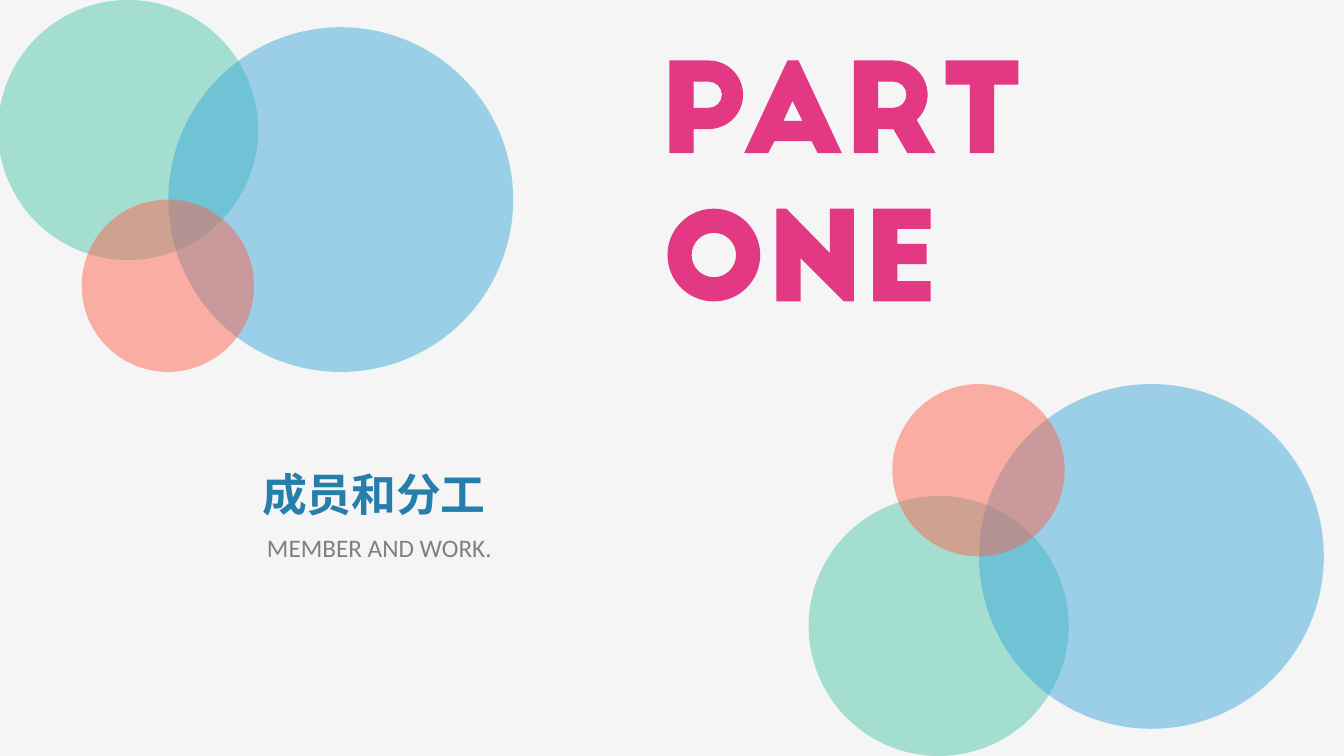
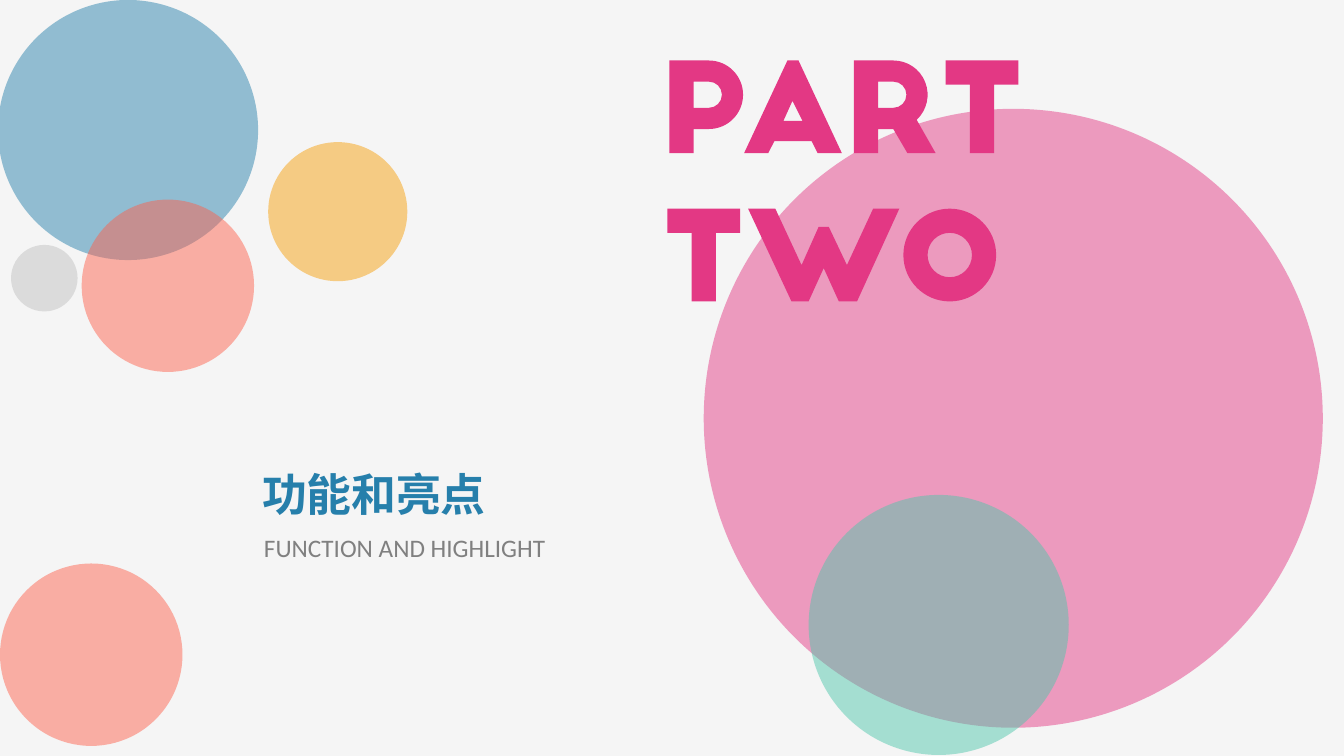
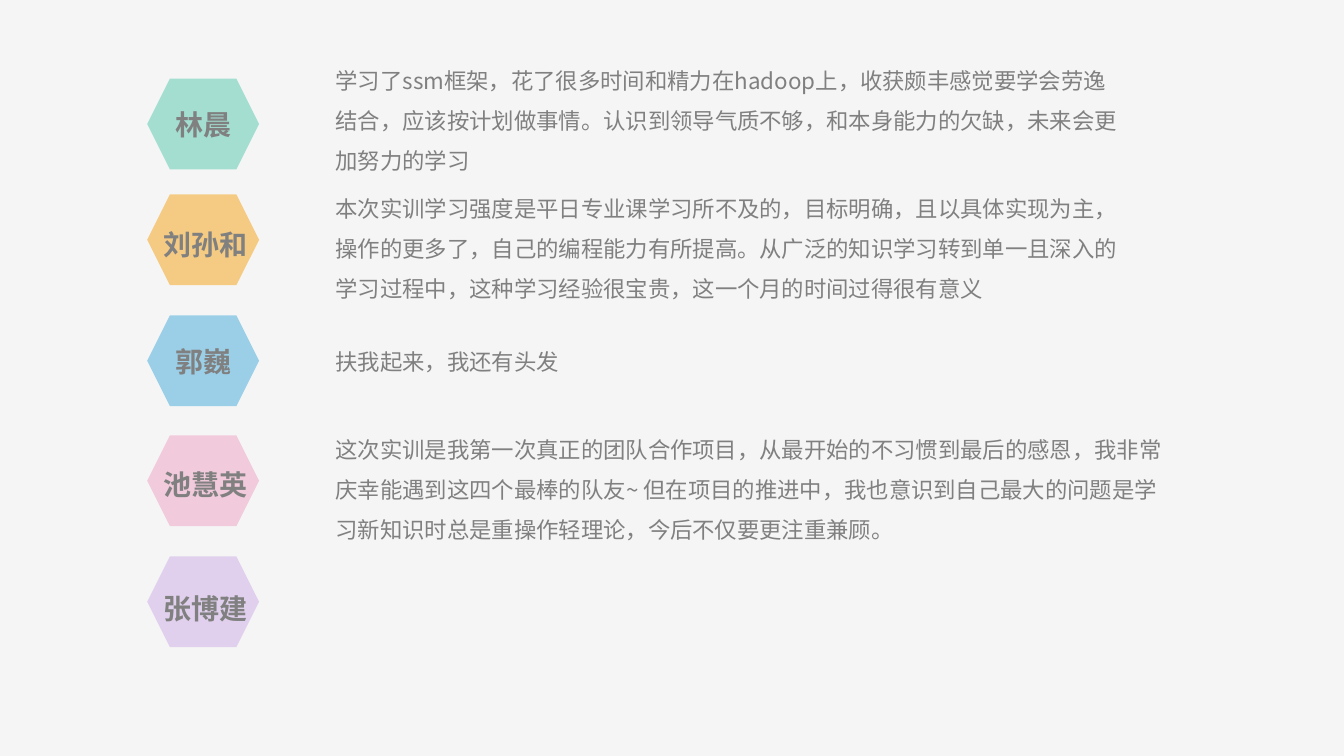
import math
from lxml import etree
from pptx import Presentation, util as u
from pptx.dml.color import RGBColor
from pptx.enum import shapes, text
from pptx.oxml.ns import qn

COLORS = {
    "paper": "F5F5F5", "mint": "4CC7AA", "sky": "37A7D9", "coral": "FE604A",
    "pink": "E33884", "navy": "267FAB", "amber": "F69E08", "silver": "BFBFBF",
    "rose": "EE9CC0", "lilac": "CBA9E5", "gray": "808080",
}
HEADING_FONT, BODY_FONT, LATIN_FONT = "Noto Sans CJK SC", "Noto Sans CJK JP", "Calibri"
CELL = u.Inches(1)
ROWS = 7.5
OPACITY = 48000

BOWL = [(0.24, 0.21), (0.39, 0.21), (0.39, 0.34, 0.13, -90, 90), (0.24, 0.47)]
GLYPHS = {
    "P": [[(0, 0), (0.39, 0), (0.39, 0.34, 0.34, -90, 90), (0.24, 0.68), (0.24, 0.92), (0, 0.92)], BOWL],
    "A": [[(0.43, 0), (0.54, 0), (0.97, 0.92), (0.73, 0.92), (0.67, 0.8), (0.3, 0.8),
           (0.24, 0.92), (0, 0.92)], [(0.48, 0.4), (0.39, 0.6), (0.58, 0.6)]],
    "R": [[(0, 0), (0.39, 0), (0.39, 0.34, 0.34, -90, 47), (0.81, 0.92), (0.53, 0.92), (0.39, 0.68),
           (0.24, 0.68), (0.24, 0.92), (0, 0.92)], BOWL],
    "T": [[(0, 0), (0.72, 0), (0.72, 0.24), (0.48, 0.24), (0.48, 0.92), (0.24, 0.92),
           (0.24, 0.24), (0, 0.24)]],
    "O": [[(0.92, 0.46), (0.46, 0.46, 0.46, 0, 360)], [(0.68, 0.46), (0.46, 0.46, 0.22, 0, 360)]],
    "N": [[(0, 0), (0.1, 0), (0.53, 0.44), (0.53, 0), (0.77, 0), (0.77, 0.92), (0.67, 0.92),
           (0.24, 0.49), (0.24, 0.92), (0, 0.92)]],
    "E": [[(0, 0), (0.57, 0), (0.57, 0.2), (0.24, 0.2), (0.24, 0.35), (0.53, 0.35),
           (0.53, 0.55), (0.24, 0.55), (0.24, 0.72), (0.57, 0.72), (0.57, 0.92), (0, 0.92)]],
    "W": [[(0, 0), (0.27, 0), (0.53, 0.56), (0.7, 0.18), (0.8, 0.18), (0.98, 0.56), (1.24, 0),
           (1.5, 0), (1.08, 0.92), (0.9, 0.92), (0.75, 0.59), (0.6, 0.92), (0.43, 0.92)]],
}
FIRST_LINE, SECOND_LINE = 0.6, 2.07
PART = [("P", 6.64, FIRST_LINE), ("A", 7.38, FIRST_LINE), ("R", 8.47, FIRST_LINE), ("T", 9.38, FIRST_LINE)]


def write(frame, content, size=16, font=BODY_FONT, color="gray", bold=False, small_caps=False,
          align=text.PP_ALIGN.LEFT, anchor=text.MSO_ANCHOR.TOP, wrap=True, line=None, inset=(0.1, 0.05)):
    frame.word_wrap = wrap
    frame.auto_size = text.MSO_AUTO_SIZE.NONE
    frame.vertical_anchor = anchor
    frame.margin_left = frame.margin_right = int(inset[0] * CELL)
    frame.margin_top = frame.margin_bottom = int(inset[1] * CELL)
    paragraph = frame.paragraphs[0]
    paragraph.alignment = align
    if line:
        paragraph.line_spacing = u.Pt(line)
    run = paragraph.add_run()
    run.text = content
    run.font.size = u.Pt(size)
    run.font.name = font
    run.font.bold = bold
    run.font.color.rgb = RGBColor.from_string(COLORS[color])
    properties = run.font._element
    etree.SubElement(properties, qn("a:ea")).set("typeface", font)
    if small_caps:
        properties.set("cap", "small")


def add_tinted(slide, kind, left, top, width, height, color):
    shape = slide.shapes.add_shape(kind, *(int(length * CELL) for length in (left, top, width, height)))
    shape.shadow.inherit = False
    shape.line.fill.background()
    shape.fill.solid()
    shape.fill.fore_color.rgb = RGBColor.from_string(COLORS[color])
    tint = shape.fill._xPr.find(".//" + qn("a:srgbClr"))
    etree.SubElement(tint, qn("a:alpha")).set("val", str(OPACITY))
    return shape


presentation = Presentation()
presentation.slide_width = int(13.33 * CELL)
presentation.slide_height = int(ROWS * CELL)
background = presentation.slide_master.background.fill
background.solid()
background.fore_color.rgb = RGBColor.from_string(COLORS["paper"])
title_only, blank = presentation.slide_layouts[5], presentation.slide_layouts[6]

cluster = [(-0.02, 0, 2.58, "mint"), (1.67, 0.27, 3.42, "sky"), (0.81, 1.98, 1.71, "coral")]
mirrored_cluster = [(left + 8.04, ROWS - top - size, size, color) for left, top, size, color in cluster]
scattered = [
    (6.98, 1.08, 6.14, "pink"), (-0.02, 0, 2.58, "navy"), (2.66, 1.41, 1.38, "amber"),
    (0.81, 1.98, 1.71, "coral"), (8.02, 4.91, 2.58, "mint"), (0, 5.59, 1.81, "coral"),
    (0.11, 2.43, 0.66, "silver"),
]
sections = [
    ("成员和分工", "MEMBER AND WORK.", 2.55, cluster + mirrored_cluster,
     [("O", 6.62, SECOND_LINE), ("N", 7.7, SECOND_LINE), ("E", 8.66, SECOND_LINE)]),
    ("功能和亮点", "FUNCTION AND HIGHLIGHT", 2.52, scattered,
     [("T", 6.62, SECOND_LINE), ("W", 7.42, SECOND_LINE), ("O", 8.96, SECOND_LINE)]),
]

for heading, subtitle, subtitle_left, discs, number in sections:
    slide = presentation.slides.add_slide(title_only)
    for left, top, size, color in discs:
        add_tinted(slide, shapes.MSO_SHAPE.OVAL, left, top, size, size, color)

    outlines, curved = [], []
    for letter, left, top in PART + number:
        for contour in GLYPHS[letter]:
            points = []
            for x, y, *arc in contour:
                if not arc:
                    if points:
                        curved.append(False)
                    points.append((x, y))
                    continue
                radius, start, end = arc
                steps = math.ceil((end - start) / 90)
                turn = math.radians(end - start) / steps
                handle = 4 / 3 * math.tan(turn / 4)
                for step in range(steps):
                    angle = math.radians(start) + turn * step
                    for a, pull in ((angle, handle), (angle + turn, -handle), (angle + turn, 0)):
                        points.append((x + radius * (math.cos(a) - pull * math.sin(a)),
                                       y + radius * (math.sin(a) + pull * math.cos(a))))
                        curved.append(True)
            outlines.append([((left + x) * 1000, (top + y) * 1000) for x, y in points])
    builder = slide.shapes.build_freeform(*outlines[0][0], scale=CELL / 1000)
    for index, outline in enumerate(outlines):
        if index:
            builder.move_to(*outline[0])
        builder.add_line_segments(outline[1:], close=True)
    lettering = builder.convert_to_shape()
    lettering.shadow.inherit = False
    lettering.line.fill.background()
    lettering.fill.solid()
    lettering.fill.fore_color.rgb = RGBColor.from_string(COLORS["pink"])

    segments = list(lettering._element.iter(qn("a:lnTo")))
    bends = [segment for segment, is_curved in zip(segments, curved) if is_curved]
    for first, second, last in zip(bends[::3], bends[1::3], bends[2::3]):
        curve = etree.Element(qn("a:cubicBezTo"))
        first.addprevious(curve)
        for segment in (first, second, last):
            curve.append(segment[0])
            segment.getparent().remove(segment)

    title = slide.shapes.title
    title.left, title.top, title.width, title.height = (int(length * CELL) for length in (2.52, 4.49, 3.77, 0.74))
    write(title.text_frame, heading, size=40, font=HEADING_FONT, color="navy", bold=True,
          small_caps=True, line=47.5, inset=(0.08, 0.04))
    box = slide.shapes.add_textbox(*(int(length * CELL) for length in (subtitle_left, 5.23, 4.9, 0.4)))
    write(box.text_frame, subtitle, size=18, font=LATIN_FONT)

members = [
    ("林晨", "mint", 0.78, None, 0.49, 8.05, 1.27,
     "学习了ssm框架，花了很多时间和精力在hadoop上，收获颇丰感觉要学会劳逸结合，应该按计划做事情。"
     "认识到领导气质不够，和本身能力的欠缺，未来会更加努力的学习"),
    ("刘孙和", "amber", 1.93, 2.04, 1.76, 8.05, 1.27,
     "本次实训学习强度是平日专业课学习所不及的，目标明确，且以具体实现为主，操作的更多了，"
     "自己的编程能力有所提高。从广泛的知识学习转到单一且深入的学习过程中，这种学习经验很宝贵，"
     "这一个月的时间过得很有意义"),
    ("郭巍", "sky", 3.13, None, 3.27, 8.44, 0.46, "扶我起来，我还有头发"),
    ("池慧英", "rose", 4.32, 4.42, 4.15, 8.44, 1.27,
     "这次实训是我第一次真正的团队合作项目，从最开始的不习惯到最后的感恩，我非常庆幸能遇到这四个最棒的队友"
     "~ 但在项目的推进中，我也意识到自己最大的问题是学习新知识时总是重操作轻理论，今后不仅要更注重兼顾。"),
    ("张博建", "lilac", 5.52, 5.65, None, None, None, None),
]
slide = presentation.slides.add_slide(blank)
for name, color, top, name_top, note_top, note_width, note_height, note in members:
    badge = add_tinted(slide, shapes.MSO_SHAPE.HEXAGON, 1.46, top, 1.11, 0.9, color)
    if name_top is None:
        write(badge.text_frame, name, size=20, font=HEADING_FONT, bold=True, wrap=False,
              align=text.PP_ALIGN.CENTER, anchor=text.MSO_ANCHOR.MIDDLE)
    else:
        box = slide.shapes.add_textbox(*(int(length * CELL) for length in (1.52, name_top, 4.07, 0.53)))
        write(box.text_frame, name, size=20, font=HEADING_FONT, bold=True, line=36)
    if note:
        box = slide.shapes.add_textbox(*(int(length * CELL) for length in (3.23, note_top, note_width, note_height)))
        write(box.text_frame, note, line=28.6)

presentation.save("out.pptx")
